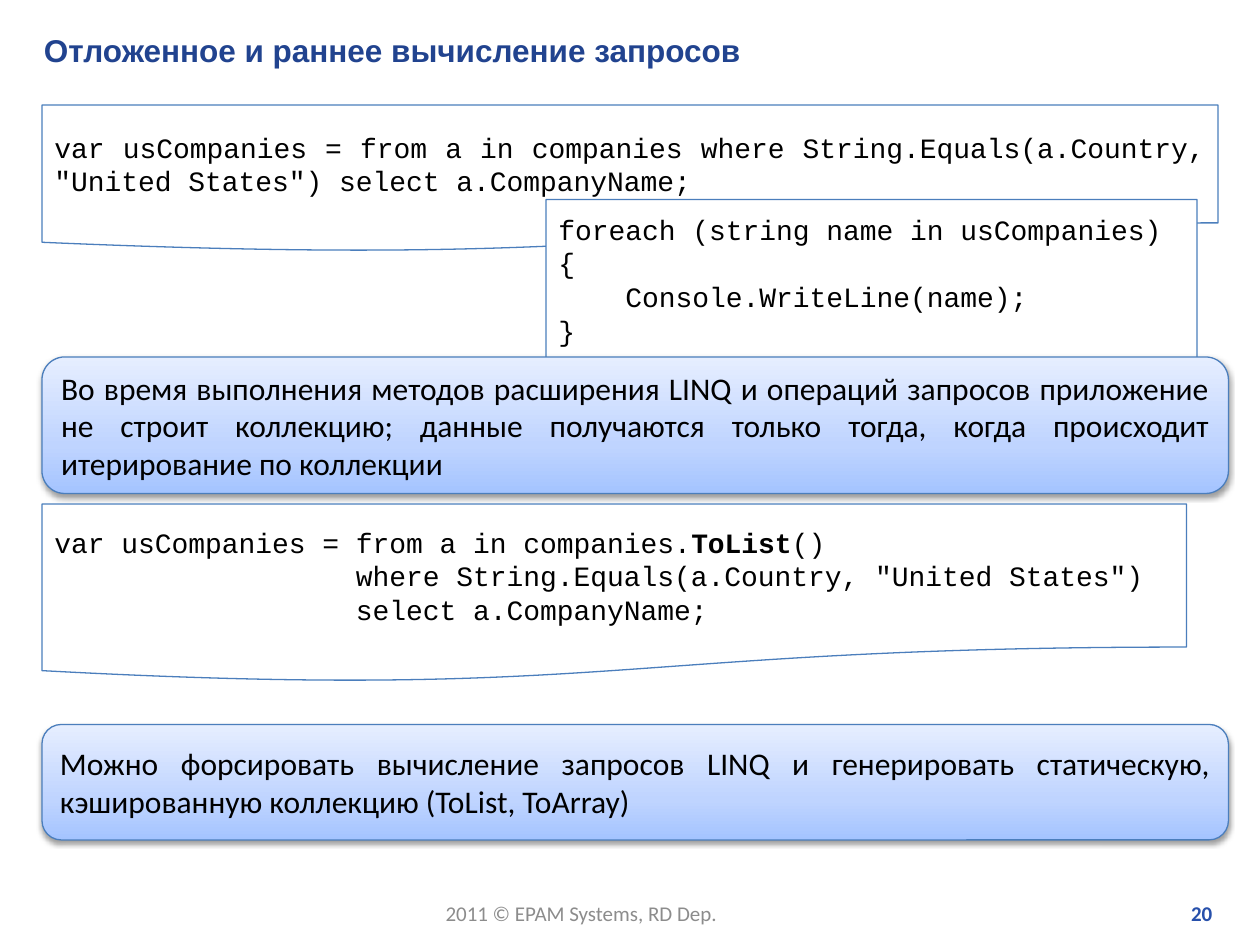
from lxml import etree
from pptx import Presentation
from pptx.dml.color import RGBColor
from pptx.enum.shapes import MSO_SHAPE
from pptx.enum.text import MSO_ANCHOR, PP_ALIGN
from pptx.oxml import parse_xml
from pptx.oxml.ns import nsdecls, qn
from pptx.util import Pt

DOCUMENT = MSO_SHAPE.FLOWCHART_DOCUMENT
ROUNDED = MSO_SHAPE.ROUNDED_RECTANGLE
LEFT, RIGHT, JUSTIFY = PP_ALIGN.LEFT, PP_ALIGN.RIGHT, PP_ALIGN.JUSTIFY
MIDDLE, TOP = MSO_ANCHOR.MIDDLE, MSO_ANCHOR.TOP

BLACK, WHITE, OUTLINE = "000000", "FFFFFF", "4B7EBC"
GRADIENT = [(0, "A4C4FF"), (35, "BFD4FF"), (100, "E6EEFF")]

LABELS = [
    ("2011 © EPAM Systems, RD Dep.", (247.5, 511.2, 172.5, 21.6), LEFT, TOP, False, ("Calibri", 12, "8C8C8C", False)),
    ("20", (547.2, 511.2, 152.64, 21.6), RIGHT, TOP, True, ("Calibri", 12, "2750AB", True)),
    ("Отложенное и раннее вычисление запросов", (18, 14.4, 687, 28.8), LEFT, MIDDLE, True,
     ("Arial", 18, "21438F", True)),
]

QUERY = ['var usCompanies = from a in companies where String.Equals(a.Country, '
         '"United States") select a.CompanyName;']
LOOP = ["foreach (string name in usCompanies)", "{", "    Console.WriteLine(name);", "}"]
LIST_QUERY = [
    "var usCompanies = from a in companies.ToList()",
    '                  where String.Equals(a.Country, "United States")',
    "                  select a.CompanyName;",
]
DEFERRED = ["Во время выполнения методов расширения LINQ и операций запросов приложение не строит "
            "коллекцию; данные получаются только тогда, когда происходит итерирование по коллекции"]
FORCED = ["Можно форсировать вычисление запросов LINQ и генерировать статическую, "
          "кэшированную коллекцию (ToList, ToArray)"]

BLOCKS = [
    (DOCUMENT, (24, 60, 672, 84), QUERY, JUSTIFY, 10, ""),
    (DOCUMENT, (312, 114, 372, 114), LOOP, JUSTIFY, 0, ""),
    (ROUNDED, (24, 204, 678, 78), DEFERRED, JUSTIFY, 10, ""),
    (DOCUMENT, (24, 288, 654, 102), LIST_QUERY, LEFT, 0, "ToList"),
    (ROUNDED, (24, 414, 678, 66), FORCED, JUSTIFY, 10, ""),
]


def rgb(value):
    return RGBColor.from_string(value)


def style(r, font, size, color, bold):
    r.font.name, r.font.size, r.font.bold = font, Pt(size), bold
    r.font.color.rgb = rgb(color)


def add_label(s, text, box, align, anchor, wrap, look):
    sp = s.shapes.add_textbox(*map(Pt, box))
    tf = sp.text_frame
    tf.word_wrap, tf.vertical_anchor = wrap, anchor
    tf.text = text
    p = tf.paragraphs[0]
    p.alignment = align
    style(p.runs[0], *look)


def add_gradient(sp):
    sp.fill.gradient()
    sp.fill.gradient_angle = 90
    stops = sp.fill._fill._gradFill.find(qn("a:gsLst"))
    for stop in list(stops):
        stops.remove(stop)
    for pos, color in GRADIENT:
        gs = etree.SubElement(stops, qn("a:gs"), pos=str(pos * 1000))
        etree.SubElement(gs, qn("a:srgbClr"), val=color)


def add_shadow(sp):
    effects = sp._element.spPr.find(qn("a:effectLst"))
    effects.append(parse_xml(
        f'<a:outerShdw {nsdecls("a")} blurRad="{Pt(3.1)}" dist="{Pt(1.6)}" dir="5400000" rotWithShape="0">'
        f'<a:srgbClr val="{BLACK}"><a:alpha val="38000"/></a:srgbClr></a:outerShdw>'))


def add_block(s, kind, box, lines, align, after, strong):
    sp = s.shapes.add_shape(kind, *map(Pt, box))
    sp.shadow.inherit = False
    sp.line.color.rgb = rgb(OUTLINE)
    sp.line.width = Pt(0.75)
    if kind == ROUNDED:
        add_gradient(sp)
        add_shadow(sp)
        font, size = "Calibri", 18
    else:
        sp.fill.solid()
        sp.fill.fore_color.rgb = rgb(WHITE)
        font, size = "Courier New", 16
    tf = sp.text_frame
    tf.word_wrap, tf.vertical_anchor = True, MIDDLE
    for i, line in enumerate(lines):
        p = tf.paragraphs[0] if i == 0 else tf.add_paragraph()
        p.alignment, p.space_after = align, Pt(after)
        parts = line.partition(strong) if strong else (line,)
        for part in filter(None, parts):
            r = p.add_run()
            r.text = part
            style(r, font, size, BLACK, part == strong)


def main():
    prs = Presentation()
    prs.slide_width, prs.slide_height = Pt(720), Pt(540)
    s = prs.slides.add_slide(prs.slide_layouts[6])
    for label in LABELS:
        add_label(s, *label)
    for block in BLOCKS:
        add_block(s, *block)
    prs.save("out.pptx")


if __name__ == "__main__":
    main()
